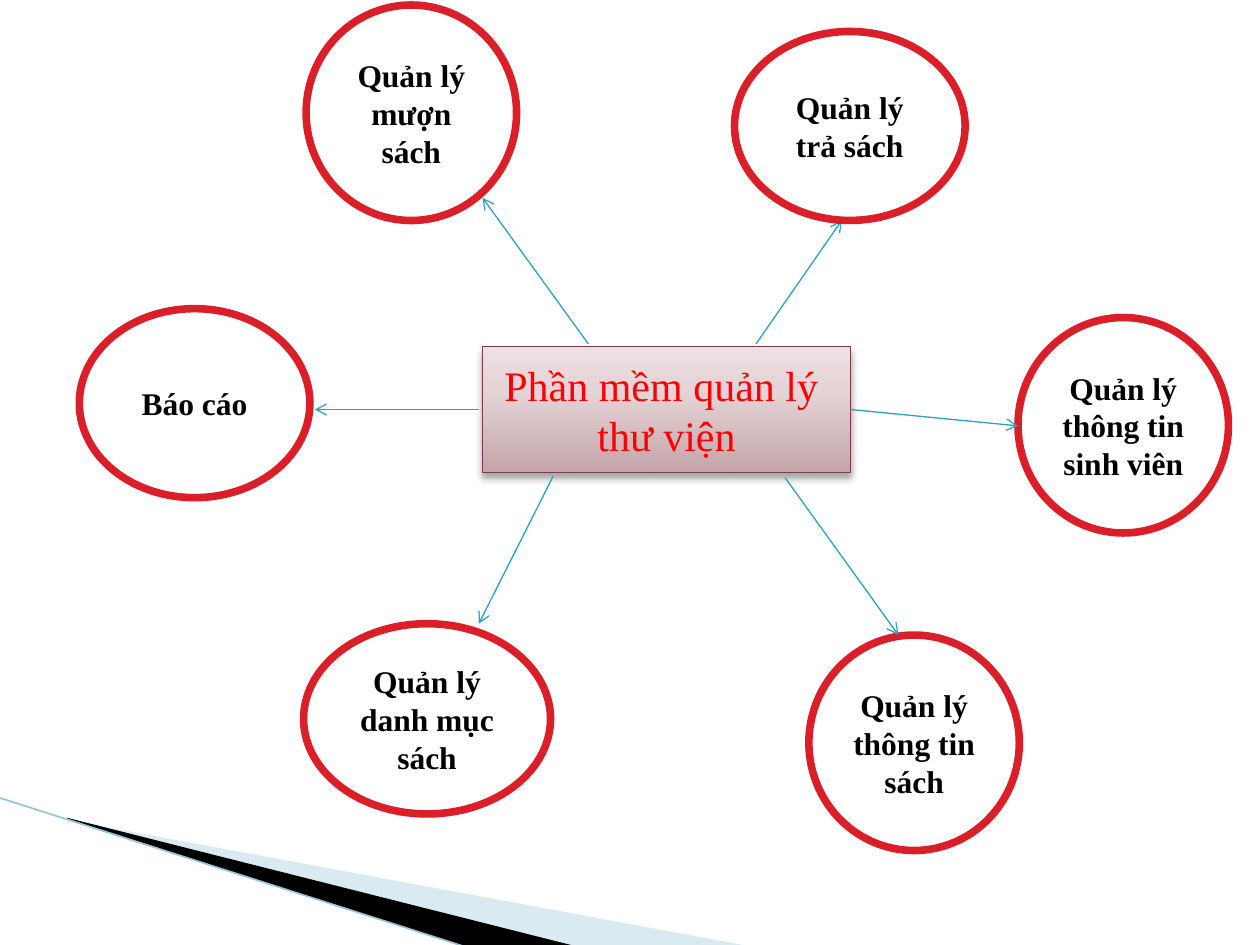
from lxml import etree
from pptx import Presentation
from pptx.dml.color import RGBColor
from pptx.enum.shapes import MSO_CONNECTOR, MSO_SHAPE
from pptx.enum.text import MSO_ANCHOR, PP_ALIGN
from pptx.oxml import parse_xml
from pptx.oxml.ns import qn
from pptx.util import Inches, Pt

RECT, OVAL = MSO_SHAPE.RECTANGLE, MSO_SHAPE.OVAL
STRAIGHT = MSO_CONNECTOR.STRAIGHT
CENTER, MIDDLE = PP_ALIGN.CENTER, MSO_ANCHOR.MIDDLE
NS = 'xmlns:a="http://schemas.openxmlformats.org/drawingml/2006/main"'
color = RGBColor.from_string

prs = Presentation()
prs.slide_width, prs.slide_height = Inches(10), Inches(7.5)
slide = prs.slides.add_slide(prs.slide_layouts[6])
shapes = slide.shapes


def add_line(start, end, line_color, width, arrow=False):
    line = shapes.add_connector(STRAIGHT, *[Inches(v) for v in start + end])
    line.line.color.rgb = color(line_color)
    line.line.width = Pt(width)
    if arrow:
        etree.SubElement(line.line._get_or_add_ln(), qn("a:tailEnd"), type="arrow")
    etree.SubElement(line._element.spPr, qn("a:effectLst"))
    return line


def add_node(preset, box, lines, size, text_color, border, border_width, bold):
    node = shapes.add_shape(preset, *[Inches(v) for v in box])
    node.shadow.inherit = False
    node.fill.solid()
    node.fill.fore_color.rgb = color("FFFFFF")
    node.line.color.rgb = color(border)
    node.line.width = Pt(border_width)
    frame = node.text_frame
    frame.word_wrap = True
    frame.vertical_anchor = MIDDLE
    for i, text in enumerate(lines):
        paragraph = frame.add_paragraph() if i else frame.paragraphs[0]
        paragraph.alignment = CENTER
        run = paragraph.add_run()
        run.text = text
        run.font.name = "Times New Roman"
        run.font.size = Pt(size)
        run.font.bold = bold
        run.font.color.rgb = color(text_color)
    return node


# Corner decoration: pale wedge, black wedge and edge line
wedges = [
    ("A0CBDC", 40, [(0.55, 6.51), (5.95, 7.51), (4.56, 7.51), (0.55, 6.5)]),
    ("000000", 100, [(0.53, 6.49), (4.57, 7.51), (3.72, 7.52), (0.54, 6.5)]),
]
for wedge_color, opacity, points in wedges:
    points = [(Inches(x), Inches(y)) for x, y in points]
    builder = shapes.build_freeform(*points[0])
    builder.add_line_segments(points[1:])
    wedge = builder.convert_to_shape()
    wedge.shadow.inherit = False
    wedge.line.fill.background()
    wedge.fill.solid()
    wedge.fill.fore_color.rgb = color(wedge_color)
    if opacity < 100:
        srgb = wedge._element.spPr.find(".//" + qn("a:srgbClr"))
        etree.SubElement(srgb, qn("a:alpha"), val=str(opacity * 1000))
add_line((-0.01, 6.33), (3.71, 7.52), "97C5D8", 0.95)

# Central system box with gradient and soft shadow
system = add_node(RECT, (3.83, 2.75, 2.92, 1), ["Phần mềm quản lý ", "thư viện"],
                  24, "FF0000", "7D3C4A", 0.75, False)
stops = "".join(
    f'<a:gs pos="{pos * 1000}"><a:srgbClr val="{stop}"/></a:gs>'
    for pos, stop in [(0, "C4A5A9"), (65, "E5D4D7"), (100, "EEE0E2")])
system_props = system._element.spPr
system_props.replace(system_props.find(qn("a:solidFill")), parse_xml(
    f'<a:gradFill {NS} rotWithShape="1"><a:gsLst>{stops}</a:gsLst>'
    '<a:lin ang="16200000" scaled="0"/></a:gradFill>'))
system_props.find(qn("a:effectLst")).append(parse_xml(
    f'<a:outerShdw {NS} blurRad="{Pt(4)}" dist="{Pt(3)}" dir="5400000" rotWithShape="0">'
    '<a:srgbClr val="000000"><a:alpha val="35000"/></a:srgbClr></a:outerShdw>'))

# Functions: label, ellipse box, arrow start, arrow end, arrow behind the ellipse
functions = [
    ("Báo cáo", (0.63, 2.45, 1.83, 1.5), (3.8, 3.25), (2.5, 3.25), False),
    ("Quản lý thông tin sách", (6.42, 5.04, 1.67, 1.71), (6.23, 3.79), (7.13, 5.04), False),
    ("Quản lý trả sách", (5.83, 0.25, 1.83, 1.5), (6, 2.73), (6.68, 1.75), True),
    ("Quản lý mượn sách", (2.43, 0.04, 1.67, 1.71), (4.67, 2.73), (3.83, 1.57), False),
    ("Quản lý thông tin sinh viên ", (8.08, 2.52, 1.67, 1.71), (6.75, 3.25), (8.08, 3.38), False),
    ("Quản lý danh mục sách", (2.41, 4.95, 1.96, 1.51), (4.39, 3.78), (3.8, 4.95), False),
]
for label, box, start, end, behind in functions:
    if behind:
        add_line(start, end, "2DA2BF", 0.75, arrow=True)
    add_node(OVAL, box, [label], 18, "000000", "DA1F28", 4.33, True)
    if not behind:
        arrow = add_line(start, end, "2DA2BF", 0.75, arrow=True)
        if start == (6.75, 3.25):  # middle of the system box's right side
            arrow.begin_connect(system, 3)

prs.save("out.pptx")
